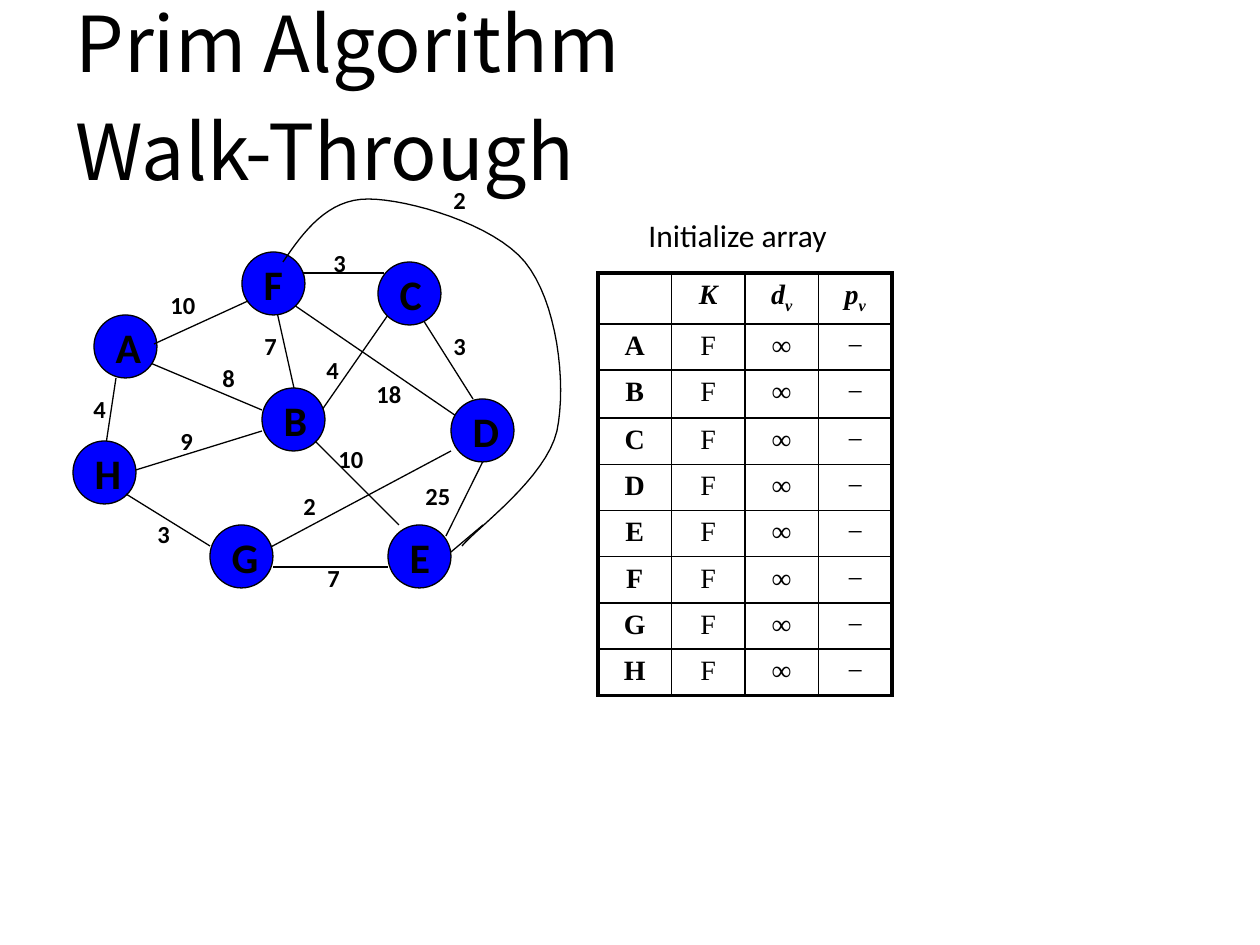
import pptx
import pptx.util
import pptx.dml.color
import pptx.enum.shapes
import pptx.enum.text
import pptx.oxml
import pptx.oxml.ns

EMU_PER_PX = 914400 / 126
BLACK = pptx.dml.color.RGBColor(0, 0, 0)
BLUE = pptx.dml.color.RGBColor(0, 0, 255)
TITLE_FONT = "Noto Sans CJK KR"
BODY_FONT = "Calibri"
TABLE_FONT = "Times New Roman"
NODE_SIZE = 63
LABEL_HEIGHT = 42
LABEL_WIDTHS = {1: 42, 2: 65}

NODES = {
    "A": (94, 315), "H": (73, 441), "B": (262, 388), "F": (242, 252),
    "E": (388, 525), "D": (451, 399), "C": (378, 262), "G": (210, 525),
}
BACK_EDGES = [
    (498, 431, 446, 536), (273, 294, 294, 388), (315, 420, 388, 315),
    (462, 420, 294, 305), (126, 473, 262, 431), (252, 557, 451, 451),
    (105, 451, 116, 378), (136, 357, 262, 410), (300, 273, 384, 273),
    (420, 315, 473, 399),
]
FRONT_EDGES = [
    (315, 441, 399, 525), (388, 567, 273, 567), (210, 546, 126, 494),
    (154, 344, 248, 301), (483, 525, 451, 552),
]
WEIGHTS = [
    ("4", 81, 388), ("25", 413, 475), ("7", 315, 557), ("2", 291, 485),
    ("10", 326, 438), ("18", 364, 373), ("3", 441, 325), ("4", 314, 349),
    ("3", 321, 242), ("7", 252, 325), ("8", 210, 357), ("9", 168, 420),
    ("3", 145, 513), ("10", 158, 284), ("2", 441, 179),
]
CURVE_START = (283, 262)
CURVE_PIECES = [
    ((304, 231), (328, 199), (368, 199)),
    ((408, 199), (494, 224), (525, 262)),
    ((557, 301), (567, 383), (557, 431)),
    ((546, 478), (478, 527), (462, 546)),
]
CURVE_STEPS = 16
HEADERS = ["", "K", "dv", "pv"]


def px(value):
    return round(value * EMU_PER_PX)


def add_run(paragraph, text, font, size, bold=False, italic=False):
    run = paragraph.add_run()
    run.text = text
    run.font.name = font
    run.font.size = pptx.util.Pt(size)
    run.font.bold = bold
    run.font.italic = italic
    run.font.color.rgb = BLACK
    return run


def add_text(slide, text, left, top, width, height, font, size, bold=False):
    box = slide.shapes.add_textbox(px(left), px(top), px(width), px(height))
    box.text_frame.word_wrap = True
    paragraph = box.text_frame.paragraphs[0]
    add_run(paragraph, text, font, size, bold)
    return paragraph


def set_title(slide, text):
    title = slide.shapes.title
    title.left, title.top, title.width, title.height = px(63), px(79), px(1134), px(141)
    frame = title.text_frame
    frame.auto_size = pptx.enum.text.MSO_AUTO_SIZE.NONE
    frame.vertical_anchor = pptx.enum.text.MSO_ANCHOR.MIDDLE
    paragraph = frame.paragraphs[0]
    paragraph.alignment = pptx.enum.text.PP_ALIGN.LEFT
    add_run(paragraph, text, TITLE_FONT, 44)


def style_line(shape):
    shape.line.color.rgb = BLACK
    shape.line.width = pptx.util.Pt(0.75)


def add_edge(slide, points):
    edge = slide.shapes.add_connector(
        pptx.enum.shapes.MSO_CONNECTOR.STRAIGHT, *map(px, points))
    style_line(edge)
    properties = edge._element.spPr
    properties.append(properties.makeelement(pptx.oxml.ns.qn("a:effectLst"), {}))


def add_node(slide, name, left, top):
    node = slide.shapes.add_shape(
        pptx.enum.shapes.MSO_SHAPE.OVAL, px(left), px(top), px(NODE_SIZE), px(NODE_SIZE))
    node.shadow.inherit = False
    node.fill.solid()
    node.fill.fore_color.rgb = BLUE
    style_line(node)
    frame = node.text_frame
    frame.word_wrap = False
    frame.vertical_anchor = pptx.enum.text.MSO_ANCHOR.MIDDLE
    paragraph = frame.paragraphs[0]
    paragraph.alignment = pptx.enum.text.PP_ALIGN.LEFT
    add_run(paragraph, name, BODY_FONT, 24, bold=True)


def bezier_point(points, t):
    factors = ((1 - t) ** 3, 3 * t * (1 - t) ** 2, 3 * t * t * (1 - t), t ** 3)
    return tuple(
        px(sum(factor * point[axis] for factor, point in zip(factors, points)))
        for axis in (0, 1))


def add_curved_edge(slide):
    points = []
    start = CURVE_START
    for piece in CURVE_PIECES:
        points += [bezier_point((start, *piece), step / CURVE_STEPS)
                   for step in range(1, CURVE_STEPS + 1)]
        start = piece[-1]
    builder = slide.shapes.build_freeform(*map(px, CURVE_START))
    builder.add_line_segments(points, close=False)
    curve = builder.convert_to_shape()
    curve.shadow.inherit = False
    curve.fill.background()
    style_line(curve)


def set_borders(cell, row, column, last_row, last_column):
    outer = {"L": column == 0, "R": column == last_column,
             "T": row == 0, "B": row == last_row}
    properties = cell._tc.get_or_add_tcPr()
    for index, (side, is_outer) in enumerate(outer.items()):
        width = pptx.util.Pt(2.25 if is_outer else 1)
        border = pptx.oxml.parse_xml(
            f'<a:ln{side} {pptx.oxml.ns.nsdecls("a")} w="{width}">'
            f'<a:solidFill><a:srgbClr val="{BLACK}"/></a:solidFill></a:ln{side}>')
        properties.insert(index, border)


def add_array_table(slide):
    rows = [HEADERS] + [[name, "F", "∞", "−"] for name in sorted(NODES)]
    row_count, column_count = len(rows), len(HEADERS)
    frame = slide.shapes.add_table(
        row_count, column_count, px(598), px(273), px(294), px(418))
    table = frame.table
    table.first_row = False
    table.horz_banding = False
    for index, row in enumerate(table.rows):
        row.height = px(48 if index == 2 else 46)
    for row, values in enumerate(rows):
        for column, value in enumerate(values):
            cell = table.cell(row, column)
            cell.fill.background()
            set_borders(cell, row, column, row_count - 1, column_count - 1)
            paragraph = cell.text_frame.paragraphs[0]
            paragraph.alignment = pptx.enum.text.PP_ALIGN.CENTER
            header = row == 0
            for position, part in enumerate(value):
                run = add_run(paragraph, part, TABLE_FONT, 16, header or column == 0, header)
                if position:
                    run.font._element.set("baseline", "-25000")


def main():
    presentation = pptx.Presentation()
    presentation.slide_width = px(1260)
    presentation.slide_height = px(945)
    slide = presentation.slides.add_slide(presentation.slide_layouts[5])
    set_title(slide, "Walk-Through")
    add_text(slide, "Initialize array", 636, 210, 231, 54, BODY_FONT, 18)
    add_array_table(slide)
    for points in BACK_EDGES:
        add_edge(slide, points)
    for name, (left, top) in NODES.items():
        add_node(slide, name, left, top)
    for points in FRONT_EDGES:
        add_edge(slide, points)
    add_curved_edge(slide)
    for weight, left, top in WEIGHTS:
        add_text(slide, weight, left, top, LABEL_WIDTHS[len(weight)], LABEL_HEIGHT,
                 BODY_FONT, 14, bold=True)
    heading = add_text(slide, "Prim Algorithm", 63, 0, 1134, 141, TITLE_FONT, 44)
    heading.line_spacing = 0.9
    presentation.save("out.pptx")


if __name__ == "__main__":
    main()
